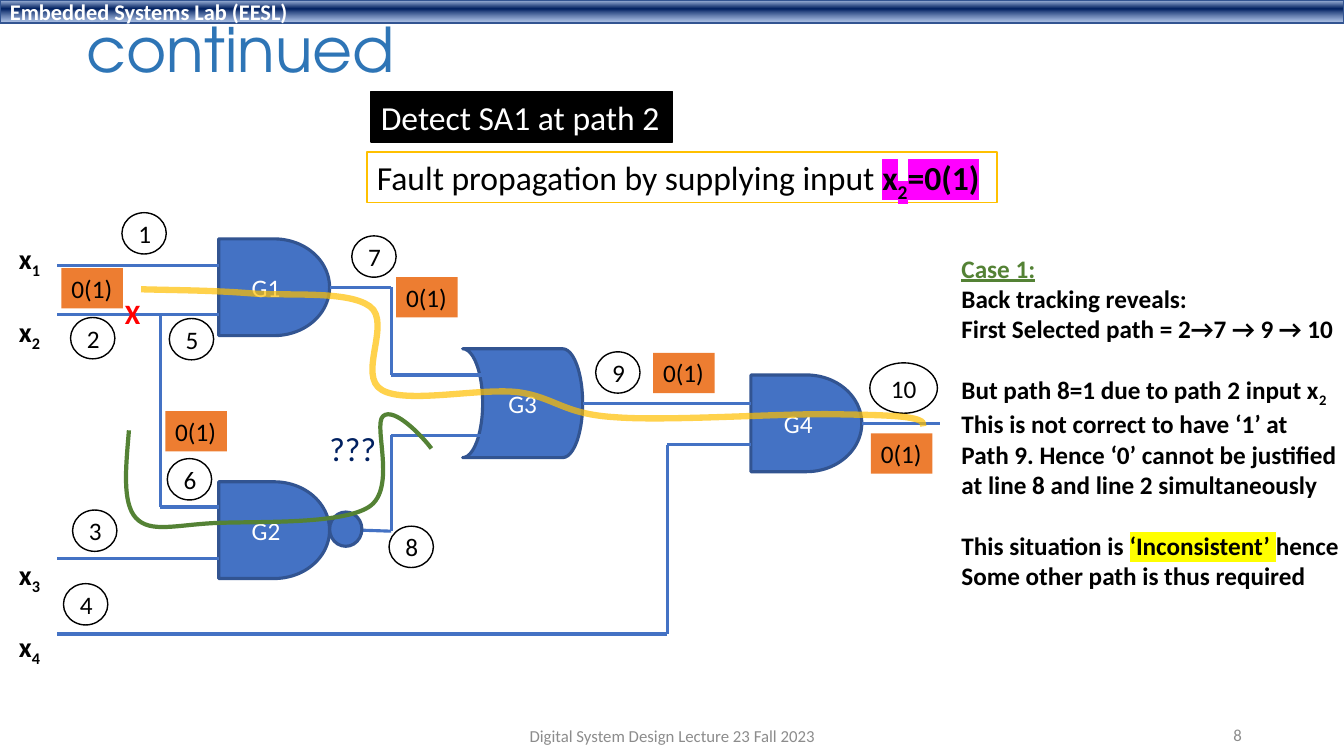
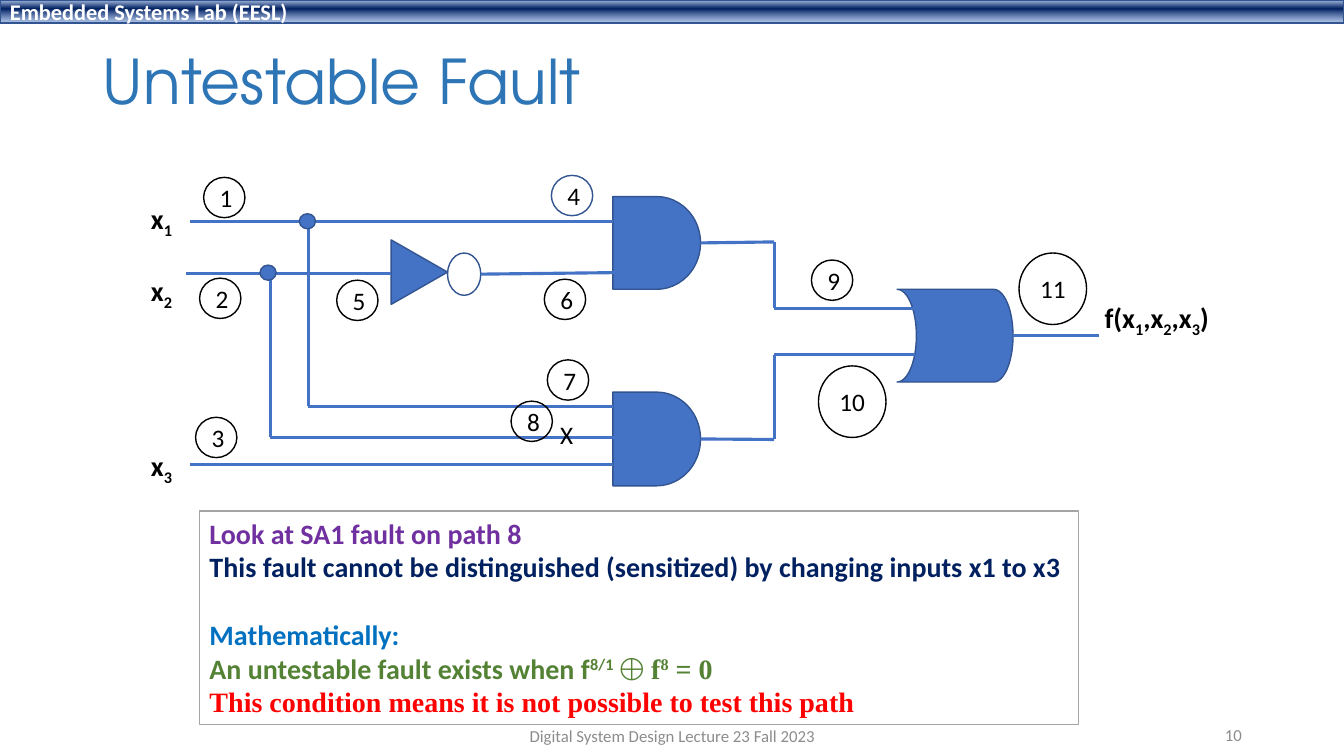
"""Build two lecture slides on path sensitization and untestable faults."""
import itertools

import pptx
import pptx.dml.color
import pptx.enum.shapes
import pptx.enum.text
import pptx.oxml
import pptx.oxml.ns
import pptx.util
from lxml import etree

Inches, Pt = pptx.util.Inches, pptx.util.Pt
MSO = pptx.enum.shapes.MSO_SHAPE
ANCHOR = pptx.enum.text.MSO_ANCHOR
ALIGN = pptx.enum.text.PP_ALIGN
qn = pptx.oxml.ns.qn

SLIDE_WIDTH, SLIDE_HEIGHT = 40 / 3, 7.5
COLORS = {
    "blue": "4472C4", "edge": "325491", "navy": "002060", "title": "2E75B6",
    "black": "000000", "white": "FFFFFF", "grey": "8C8C8C", "silver": "A5A5A5",
    "gold": "FFC000", "orange": "ED7D31", "green": "548235", "red": "FF0000",
    "purple": "7030A0", "sky": "0070C0", "magenta": "FF00FF", "yellow": "FFFF00",
    "band_top": "ABC0E4", "band_bottom": "7E9ED6",
}
BAND_STOPS = [(2, "band_top", 100), (38, "navy", 100), (93, "band_bottom", 64)]

SUB, SUP = {"baseline": -25000}, {"baseline": 30000}
BOLD18 = {"size": Pt(18), "bold": True}
BOLD20 = {"size": Pt(20), "bold": True}
LARGE = {"size": Pt(24)}
MARKED = {"bold": True, "highlight": "magenta"}
SERIF = {"name": "Times New Roman"}
GREEN, RED = {"color": "green"}, {"color": "red"}
LINE18, LINE20 = 22, 24.4

LAB = "Embedded Systems Lab (EESL)"
FOOTER = "Digital System Design Lecture 23 Fall 2023"

CASE_NOTES = [
    (0, [("Case 1:", {"color": "green", "underline": True}), (" ", {})]),
    (0, [("Back tracking reveals:", {})]),
    (0, [("First Selected path = 2→7 → 9 → 10", {})]),
    (LINE18, [("But path 8=1 due to path 2 input x", {}), ("2", SUB)]),
    (0, [("This is not correct to have ‘1’ at", {})]),
    (0, [("Path 9. Hence ‘0’ cannot be justified", {})]),
    (0, [("at line 8 and line 2 simultaneously", {})]),
    (LINE18, [("This situation is ", {}), ("‘Inconsistent’ ", {"highlight": "yellow"}),
              ("hence", {})]),
    (0, [("Some other path is thus required", {})]),
]
PROPAGATION = [(0, [("Fault propagation by supplying input ", {}), ("x", MARKED),
                    ("2", MARKED | SUB), ("=0(1)", MARKED)])]
OUTPUT = [(0, [("f(x", {}), ("1", SUB), (",x", {}), ("2", SUB),
               (",x", {}), ("3", SUB), (")", {})])]
UNTESTABLE_NOTES = [
    (0, [("Look at SA1 fault on path 8", {"color": "purple"})]),
    (0, [("This fault cannot be distinguished (sensitized) by changing inputs x1 to x3",
          {"color": "navy"})]),
    (LINE20, [("Mathematically:", {"color": "sky"})]),
    (0, [("An untestable fault exists when f", GREEN), ("8/1", GREEN | SUP), (" ", GREEN),
         ("⨁ f", GREEN | SERIF), ("8", GREEN | SERIF | SUP), (" = 0", GREEN | SERIF)]),
    (0, [("This condition means it is not possible to test this path", RED | SERIF)]),
]

AND, OR = MSO.FLOWCHART_DELAY, MSO.FLOWCHART_STORED_DATA
CONTINUED = {
    "title": ("continued", (0.76, 0.12, 11.5, 0.81)),
    "page": "8",
    "gate_edge": 2.25,
    "gates": {
        "G1": (AND, (2.17, 2.37, 1.1, 0.96)), "G2": (AND, (2.17, 4.78, 1.1, 0.96)),
        "G3": (OR, (4.59, 3.46, 1.19, 1.08)), "G4": (AND, (7.45, 3.72, 1.1, 0.96)),
    },
    "gate_names": True,
    "wires": [
        ("G1", [(3.27, 2.85), (3.88, 2.85), (3.88, 3.72), (4.78, 3.72)]),
        (None, [(3.59, 5.26), (3.88, 5.27), (3.88, 4.32), (4.78, 4.32)]),
        (None, [(5.78, 4), (7.45, 4)]),
        ("G4", [(8.55, 4.2), (9.33, 4.2)]),
        (None, [(0.57, 6.29), (6.62, 6.29), (6.62, 4.41), (7.45, 4.41)]),
        (None, [(0.57, 5.54), (2.17, 5.54)]),
        (None, [(0.57, 3.12), (2.17, 3.12)]),
        (None, [(1.59, 3.12), (1.59, 5.03), (2.17, 5.03)]),
        (None, [(0.57, 2.63), (2.17, 2.63)]),
    ],
    "dots": [(3.27, 5.08, 0.32, 0.34)],
    "label_size": (0.44, 0.41),
    "labels": {"1": (1.21, 2.11), "2": (0.7, 3.15), "3": (0.72, 5.06),
               "4": (0.63, 5.79), "5": (1.68, 3.16), "6": (1.66, 4.55),
               "7": (3.49, 2.34), "8": (3.86, 5.22), "9": (5.91, 3.49)},
    "wide_label_size": (0.67, 0.5),
    "wide_labels": {"10": (8.63, 3.6)},
    "inputs": (0.09, 2.35, 0.43, 4.14),
    "input_gaps": [0, 1, 6, 1],
}
UNTESTABLE = {
    "title": ("Untestable Fault", (0.92, 0.4, 11.5, 0.87)),
    "page": "10",
    "gate_edge": 1,
    "gates": {
        "upper": (AND, (6.08, 1.95, 0.87, 0.92)),
        "lower": (AND, (6.08, 3.89, 0.87, 0.93)),
        "output": (OR, (8.9, 2.87, 1.15, 0.92)),
    },
    "gate_names": False,
    "wires": [
        (None, [(4.77, 2.72), (6.5, 2.7)]),
        (None, [(1.85, 2.71), (3.88, 2.71)]),
        (None, [(1.89, 2.2), (6.08, 2.2)]),
        (None, [(1.89, 4.61), (6.08, 4.61)]),
        (None, [(3.06, 2.2), (3.06, 4.03), (6.08, 4.03)]),
        (None, [(2.68, 2.71), (2.68, 4.34), (6.14, 4.34)]),
        ("upper", [(6.95, 2.41), (7.68, 2.4), (7.68, 3.06), (9.08, 3.06)]),
        ("lower", [(6.95, 4.37), (7.68, 4.36), (7.68, 3.52), (9.08, 3.52)]),
        (None, [(10.05, 3.33), (10.9, 3.33)]),
    ],
    "dots": [(2.97, 2.12, 0.16, 0.15), (2.58, 2.63, 0.16, 0.15)],
    "label_size": (0.41, 0.4),
    "labels": {"1": (2.02, 1.76), "2": (1.98, 2.76), "3": (1.94, 4.14),
               "4": (5.47, 1.74), "5": (3.34, 2.78), "6": (5.4, 2.77),
               "7": (5.43, 3.57), "8": (5.07, 3.98), "9": (8.05, 2.58)},
    "label_edges": {"4": "edge"},
    "wide_label_size": (0.67, 0.71),
    "wide_labels": {"10": (8.12, 3.63), "11": (10.11, 2.51)},
    "inputs": (1.4, 1.95, 0.43, 3.13),
    "input_gaps": [0, 1, 4],
}

FAULT_VALUE = "0(1)"
FAULT_SPOTS = [(0.61, 2.66), (1.64, 4.08), (3.93, 2.75), (6.48, 3.5), (8.64, 4.3)]
SELECTED_PATH = [
    (1.4, 2.87), (1.75, 2.88), (2.1, 2.88), (2.48, 2.91), (2.86, 2.94), (3.45, 2.88),
    (3.67, 3.04), (3.89, 3.2), (3.54, 3.73), (3.79, 3.87), (4.03, 4.01), (4.74, 3.85),
    (5.13, 3.89), (5.51, 3.94), (5.58, 4.11), (6.11, 4.14), (6.63, 4.18), (7.77, 4.1),
    (8.28, 4.11), (8.79, 4.12), (9.2, 4.12), (9.16, 4.23)]
BLOCKED_PATH = [
    (1.28, 4.27), (1.25, 4.63), (1.21, 4.99), (1.35, 5.14), (1.49, 5.29), (1.74, 5.21),
    (2.12, 5.19), (2.51, 5.17), (3.38, 5.21), (3.66, 5.03), (3.94, 4.85), (3.7, 4.22),
    (3.8, 4.13), (3.91, 4.03), (4.2, 4.34), (4.28, 4.45)]


def rgb(color):
    return pptx.dml.color.RGBColor.from_string(COLORS[color])


def plain(text):
    return [(0, [(text, {})])]


def format_run(run, fmt):
    fmt = {"name": "Calibri", "size": Pt(18), "color": "black"} | fmt
    run.font.color.rgb = rgb(fmt.pop("color"))
    props = run.font._element
    if "baseline" in fmt:
        props.set("baseline", str(fmt.pop("baseline")))
    if "highlight" in fmt:
        mark = etree.Element(qn("a:highlight"))
        etree.SubElement(mark, qn("a:srgbClr")).set("val", COLORS[fmt.pop("highlight")])
        props.find(qn("a:solidFill")).addnext(mark)
    for attribute, value in fmt.items():
        setattr(run.font, attribute, value)


def write(shape, paragraphs, fmt, wrap=False, anchor=ANCHOR.TOP, align=ALIGN.LEFT, spacing=1.0):
    frame = shape.text_frame
    frame.word_wrap, frame.vertical_anchor = wrap, anchor
    for index, (gap, runs) in enumerate(paragraphs):
        paragraph = frame.add_paragraph() if index else frame.paragraphs[0]
        paragraph.alignment, paragraph.line_spacing = align, spacing
        paragraph.space_before = Pt(gap)
        for text, extra in runs:
            run = paragraph.add_run()
            run.text = text
            format_run(run, fmt | extra)


def add_text(slide, box, paragraphs, fmt, **layout):
    write(slide.shapes.add_textbox(*map(Inches, box)), paragraphs, fmt, **layout)


def paint(shape, fill, line, width=1):
    shape.shadow.inherit = False
    if fill:
        shape.fill.solid()
        shape.fill.fore_color.rgb = rgb(fill)
    else:
        shape.fill.background()
    if line:
        shape.line.color.rgb = rgb(line)
        shape.line.width = Pt(width)
    else:
        shape.line.fill.background()


def add_shape(slide, kind, box, fill, line, width=1):
    shape = slide.shapes.add_shape(kind, *map(Inches, box))
    paint(shape, fill, line, width)
    return shape


def add_wire(slide, points, gate):
    for index, (start, end) in enumerate(itertools.pairwise(points)):
        wire = slide.shapes.add_connector(
            pptx.enum.shapes.MSO_CONNECTOR.STRAIGHT, *map(Inches, start + end))
        wire.line.color.rgb = rgb("blue")
        wire.line.width = Pt(2.25)
        etree.SubElement(wire._element.spPr, qn("a:effectLst"))
        if gate is not None and index == 0:
            wire.begin_connect(gate, 3)


def add_curve(slide, points, color, width, opacity=100):
    start, *rest = [tuple(map(Inches, point)) for point in points]
    builder = slide.shapes.build_freeform(*start)
    builder.add_line_segments(rest, close=False)
    curve = builder.convert_to_shape()
    paint(curve, None, color, width)
    segments = list(curve._element.iter(qn("a:lnTo")))
    for first in range(0, len(segments), 3):
        bend = etree.Element(qn("a:cubicBezTo"))
        segments[first].addprevious(bend)
        for segment in segments[first:first + 3]:
            bend.append(segment[0])
            segment.getparent().remove(segment)
    if opacity < 100:
        shade = curve.line._ln.find(".//" + qn("a:srgbClr"))
        etree.SubElement(shade, qn("a:alpha")).set("val", str(opacity * 1000))


def add_band(slide):
    band = add_shape(slide, MSO.RECTANGLE, (0, 0, SLIDE_WIDTH, 0.23), "navy", "edge")
    gradient = etree.Element(qn("a:gradFill"))
    stops = etree.SubElement(gradient, qn("a:gsLst"))
    for position, color, opacity in BAND_STOPS:
        stop = etree.SubElement(stops, qn("a:gs"), pos=str(position * 1000))
        shade = etree.SubElement(stop, qn("a:srgbClr"), val=COLORS[color])
        etree.SubElement(shade, qn("a:alpha"), val=str(opacity * 1000))
    etree.SubElement(gradient, qn("a:lin"), ang="5400000", scaled="0")
    solid = band._element.spPr.find(qn("a:solidFill"))
    solid.getparent().replace(solid, gradient)
    write(band, plain(LAB), {"size": Pt(16), "bold": True, "color": "white"},
          wrap=True, anchor=ANCHOR.MIDDLE)


def add_frame(deck, content):
    slide = deck.slides.add_slide(deck.slide_layouts[6])
    add_band(slide)
    title, box = content["title"]
    add_text(slide, box, plain(title),
             {"name": "TeX Gyre Adventor", "size": Pt(44), "color": "title"},
             wrap=True, anchor=ANCHOR.MIDDLE, spacing=0.9)
    for text, box, align in ((FOOTER, (4.42, 7.1, 4.5, 0.4), ALIGN.CENTER),
                             (content["page"], (9.42, 7.09, 3, 0.4), ALIGN.RIGHT)):
        add_text(slide, box, plain(text), {"size": Pt(12), "color": "grey"},
                 wrap=True, anchor=ANCHOR.MIDDLE, align=align)
    return slide


def add_circuit(slide, content):
    centred = {"wrap": True, "anchor": ANCHOR.MIDDLE, "align": ALIGN.CENTER}
    gates = {}
    for name, (kind, box) in content["gates"].items():
        gates[name] = add_shape(slide, kind, box, "blue", "edge", content["gate_edge"])
        if kind == OR:
            gates[name]._element.spPr.xfrm.set("flipH", "1")
        if content["gate_names"]:
            write(gates[name], plain(name), {"color": "white"}, **centred)
    for source, points in content["wires"]:
        add_wire(slide, points, gates.get(source))
    for box in content["dots"]:
        add_shape(slide, MSO.OVAL, box, "blue", "edge", content["gate_edge"])
    for group in ("label", "wide_label"):
        for number, corner in content[group + "s"].items():
            edge = content.get("label_edges", {}).get(number, "black")
            label = add_shape(slide, MSO.OVAL, corner + content[group + "_size"], None, edge)
            write(label, plain(number), {}, **centred)
    inputs = [(lines * LINE20, [("x", {}), (str(number), SUB)])
              for number, lines in enumerate(content["input_gaps"], 1)]
    add_text(slide, content["inputs"], inputs, BOLD20)


def build_continued(deck):
    slide = add_frame(deck, CONTINUED)
    add_text(slide, (9.44, 2.46, 3.97, 3.43), CASE_NOTES, BOLD18)
    goal = add_shape(slide, MSO.RECTANGLE, (3.68, 0.91, 2.99, 0.5), "black", "black")
    write(goal, plain("Detect SA1 at path 2"), LARGE | {"color": "white"})
    supply = add_shape(slide, MSO.RECTANGLE, (3.64, 1.51, 6.25, 0.5), "white", "gold")
    write(supply, PROPAGATION, LARGE)
    add_circuit(slide, CONTINUED)
    add_text(slide, (1.14, 2.89, 0.36, 0.44), plain("X"), BOLD20 | RED)
    for corner in FAULT_SPOTS:
        value = add_shape(slide, MSO.RECTANGLE, corner + (0.61, 0.4), "orange", None)
        write(value, plain(FAULT_VALUE), {})
    add_curve(slide, SELECTED_PATH, "gold", 4.5, opacity=70)
    add_curve(slide, BLOCKED_PATH, "green", 3)
    add_text(slide, (3.17, 4.2, 0.67, 0.5), plain("???"), LARGE | {"color": "navy"})


def build_untestable(deck):
    slide = add_frame(deck, UNTESTABLE)
    inverter = add_shape(slide, MSO.ISOSCELES_TRIANGLE, (3.84, 2.42, 0.64, 0.56), "blue", "edge")
    inverter.rotation = 90
    add_shape(slide, MSO.OVAL, (4.44, 2.51, 0.33, 0.42), None, "edge")
    add_circuit(slide, UNTESTABLE)
    add_text(slide, (10.86, 2.93, 1.28, 0.44), OUTPUT, BOLD20)
    notes = add_shape(slide, MSO.RECTANGLE, (1.98, 5.07, 8.72, 2.12), "white", "silver")
    write(notes, UNTESTABLE_NOTES, BOLD20)
    add_text(slide, (5.46, 4.11, 0.33, 0.4), plain("X"), {})


def main():
    deck = pptx.Presentation()
    deck.slide_width, deck.slide_height = Inches(SLIDE_WIDTH), Inches(SLIDE_HEIGHT)
    build_continued(deck)
    build_untestable(deck)
    deck.save("out.pptx")


if __name__ == "__main__":
    main()
